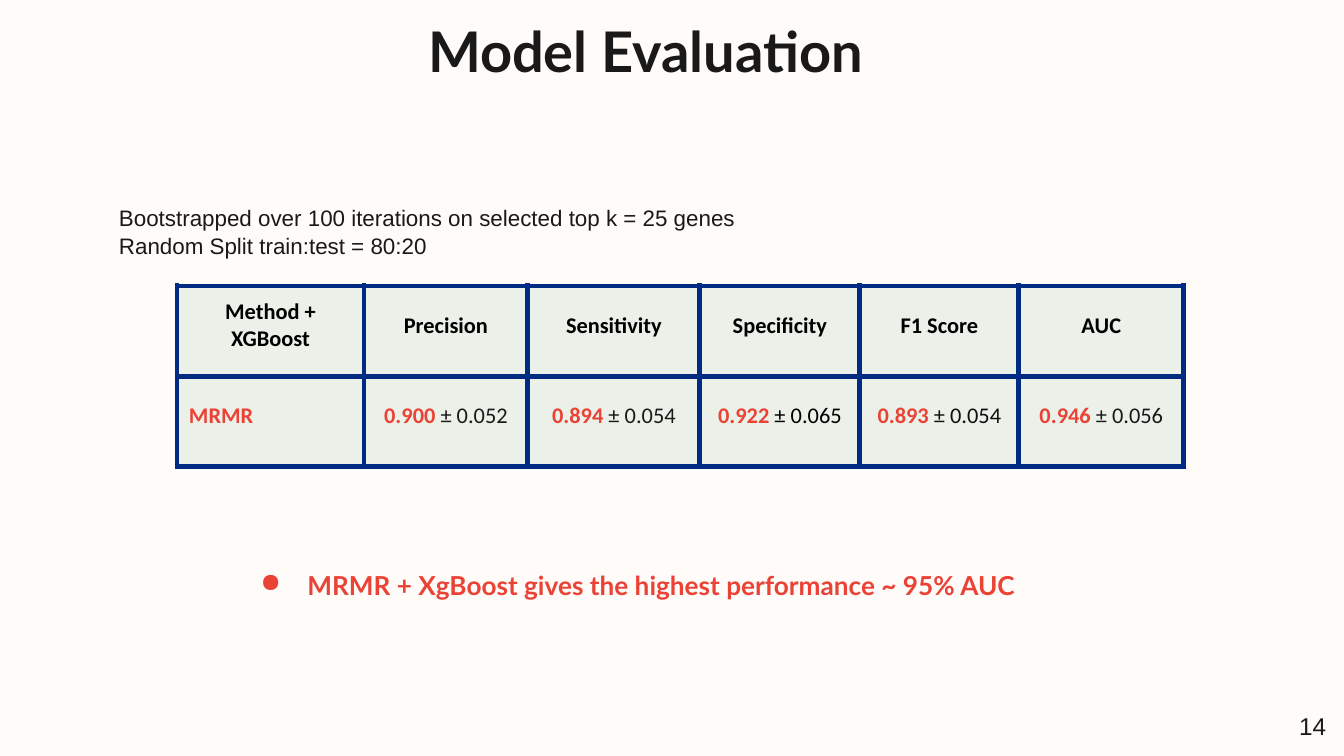
from lxml import etree
from pptx import Presentation
from pptx import util as u
from pptx.dml.color import RGBColor
from pptx.enum import text
from pptx.oxml import ns

PX = 914400 / 134.4
INK, BLACK, RED, NAVY, MINT = "191919", "000000", "EA4336", "002B82", "EBF1E8"
ALIGN, ANCHOR = text.PP_ALIGN, text.MSO_ANCHOR
BOX_FORMAT = {"word_wrap": True, "auto_size": text.MSO_AUTO_SIZE.NONE,
              "vertical_anchor": ANCHOR.TOP}
MARGINS = ("margin_left", "margin_top", "margin_right", "margin_bottom")


def px(n):
    return u.Emu(round(n * PX))


def add_run(paragraph, words, font, size, color, bold=False):
    run = paragraph.add_run()
    run.text = words
    for key, value in {"name": font, "size": u.Pt(size), "bold": bold}.items():
        setattr(run.font, key, value)
    run.font.color.rgb = RGBColor.from_string(color)


prs = Presentation()
prs.slide_width, prs.slide_height = px(1344), px(756)
slide = prs.slides.add_slide(prs.slide_layouts[5])
slide.background.fill.solid()
slide.background.fill.fore_color.rgb = RGBColor.from_string("FFFBF9")

# Title and text boxes
title = slide.shapes.title
title.left, title.top, title.width, title.height = map(px, (415, 3, 1133, 85))
setup = slide.shapes.add_textbox(*map(px, (106, 190, 1133, 499)))
page_number = slide.shapes.add_textbox(*map(px, (1258, 698, 81, 58)))
conclusion = slide.shapes.add_textbox(*map(px, (190, 556, 876, 107)))
for box in (title, setup, page_number, conclusion):
    for key, value in (BOX_FORMAT | dict.fromkeys(MARGINS, px(13))).items():
        setattr(box.text_frame, key, value)

heading = title.text_frame.paragraphs[0]
heading.alignment = ALIGN.LEFT
add_run(heading, "Model Evaluation", "Lato", 30, INK, True)

setup_lines = ("Bootstrapped over 100 iterations on selected top k = 25 genes",
               "Random Split train:test = 80:20")
for i, line in enumerate(setup_lines):
    frame = setup.text_frame
    paragraph = frame.add_paragraph() if i else frame.paragraphs[0]
    paragraph.line_spacing = 1.05
    add_run(paragraph, line, "Arial", 12, INK)

number = page_number.text_frame.paragraphs[0]
number.alignment = ALIGN.RIGHT
add_run(number, "14", "Arial", 13, INK)

# Metrics table: one header row, one row of mean ± deviation
metrics = (("Precision", "0.900", "0.052", INK), ("Sensitivity", "0.894", "0.054", INK),
           ("Specificity", "0.922", "0.065", BLACK), ("F1 Score", "0.893", "0.054", "0F0F0F"),
           ("AUC", "0.946", "0.056", INK))
widths, heights = (187, 164, 172, 160, 159, 165), (91, 90)
table = slide.shapes.add_table(2, 6, px(177), px(286), px(sum(widths)), px(sum(heights))).table
table.first_row = table.horz_banding = False
for column, width in zip(table.columns, widths):
    column.width = px(width)
for row, height in zip(table.rows, heights):
    row.height = px(height)

for r in range(2):
    for c in range(6):
        cell = table.cell(r, c)
        side = 1 if c else 12
        for key, value in zip(MARGINS, (side, 1, side, 13)):
            setattr(cell, key, px(value))
        cell.vertical_anchor = ANCHOR.MIDDLE
        properties = cell._tc.get_or_add_tcPr()
        for edge in ("a:lnL", "a:lnR", "a:lnT", "a:lnB"):
            border = etree.SubElement(properties, ns.qn(edge), w=str(u.Pt(3)))
            fill = etree.SubElement(border, ns.qn("a:solidFill"))
            etree.SubElement(fill, ns.qn("a:srgbClr"), val=NAVY)
        cell.fill.solid()
        cell.fill.fore_color.rgb = RGBColor.from_string(MINT)
        cell.text_frame.paragraphs[0].alignment = ALIGN.CENTER

method_header, method = (table.cell(r, 0).text_frame.paragraphs[0] for r in range(2))
add_run(method_header, "Method + XGBoost", "Calibri", 12, BLACK, True)
method.alignment = ALIGN.LEFT
add_run(method, "MRMR", "Calibri", 12, RED, True)
for c, (metric, mean, deviation, color) in enumerate(metrics, 1):
    header, score = (table.cell(r, c).text_frame.paragraphs[0] for r in range(2))
    add_run(header, metric, "Calibri", 12, BLACK, True)
    add_run(score, mean, "Calibri", 12, RED, True)
    add_run(score, f" ± {deviation}", "Calibri", 12, color)

# Conclusion bullet
finding = conclusion.text_frame.paragraphs[0]
finding.alignment = ALIGN.CENTER
bullet_properties = finding._p.get_or_add_pPr()
bullet_properties.set("marL", str(px(67)))
bullet_properties.set("indent", str(px(-47)))
bullet_color = etree.SubElement(bullet_properties, ns.qn("a:buClr"))
etree.SubElement(bullet_color, ns.qn("a:srgbClr"), val=RED)
etree.SubElement(bullet_properties, ns.qn("a:buChar"), char="●")
add_run(finding, "MRMR + XgBoost gives the highest performance ~ 95% AUC", "Lato", 14, RED, True)

prs.save("out.pptx")
